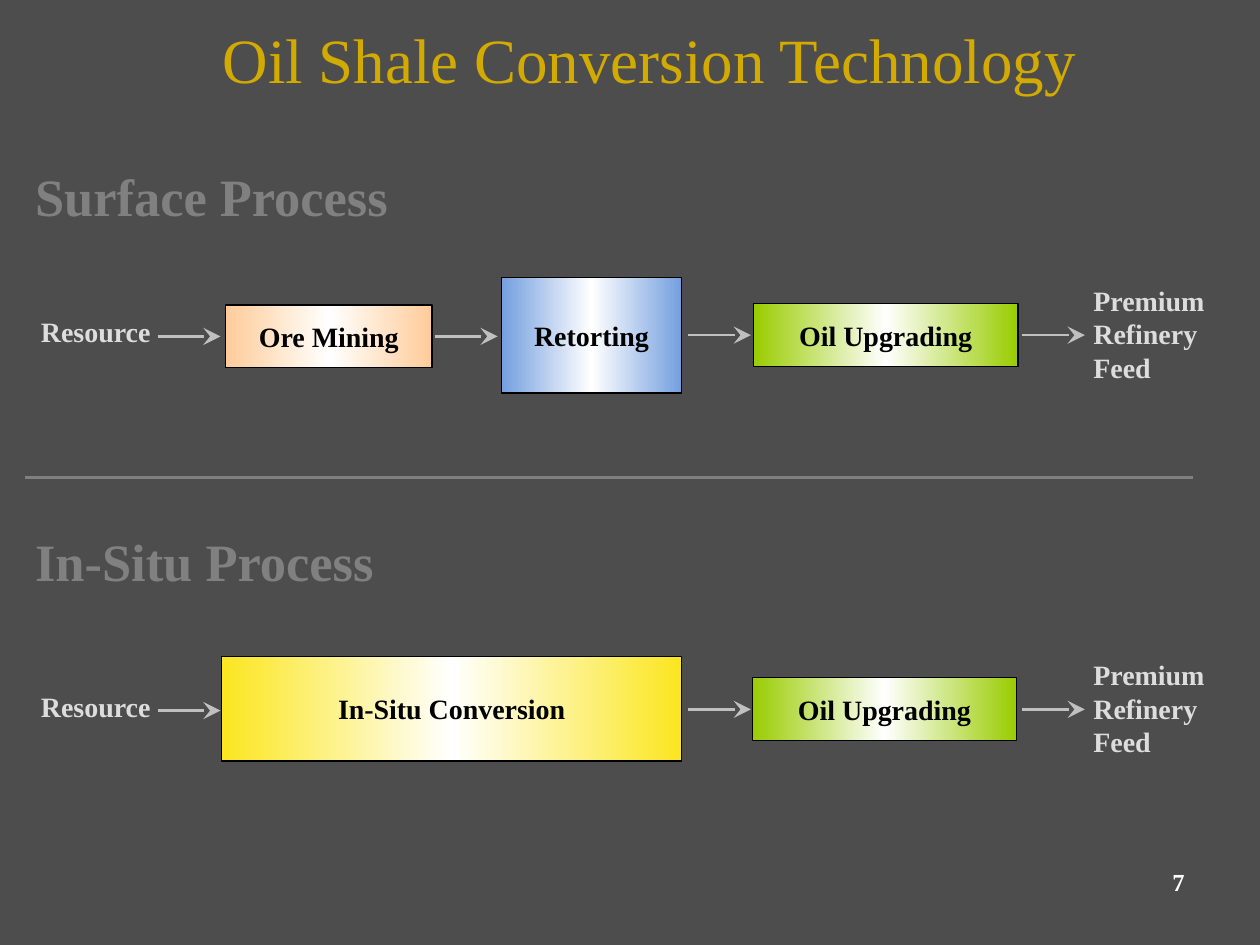
from copy import deepcopy
from pptx import Presentation
from pptx.dml.color import RGBColor as RGB
from pptx.enum.shapes import MSO_CONNECTOR as Conn, MSO_SHAPE as Kind
from pptx.enum.text import MSO_ANCHOR as Anchor, PP_ALIGN as Align
from pptx.oxml.ns import qn
from pptx.oxml.xmlchemy import OxmlElement as Node
from pptx.util import Inches, Pt

GRAY = RGB(0x4D, 0x4D, 0x4D)
GOLD = RGB(0xD2, 0xAA, 0x00)
HEAD = RGB(0x80, 0x80, 0x80)
PALE = RGB(0xDD, 0xDD, 0xDD)
SILVER = RGB(0xC0, 0xC0, 0xC0)
BLACK = RGB(0x00, 0x00, 0x00)
WHITE = RGB(0xFF, 0xFF, 0xFF)
PEACH = RGB(0xFF, 0xCC, 0x99)
BLUE = RGB(0x74, 0x9F, 0xDE)
GREEN = RGB(0x99, 0xCC, 0x00)
YELLOW = RGB(0xFB, 0xE6, 0x1F)

deck = Presentation()
deck.slide_width, deck.slide_height = Inches(10), Inches(7.5)
slide = deck.slides.add_slide(deck.slide_layouts[5])
slide.background.fill.solid()
slide.background.fill.fore_color.rgb = GRAY
shapes = slide.shapes


def write(text, shape=None, at=None, size=16, color=PALE, bold=True,
          align=Align.LEFT, anchor=Anchor.TOP):
    if shape is None:
        shape = shapes.add_textbox(*map(Inches, at))
    frame = shape.text_frame
    frame.word_wrap = True
    frame.vertical_anchor = anchor
    frame.text = text
    para = frame.paragraphs[0]
    para.alignment = align
    font = para.runs[0].font
    font.name, font.size, font.bold = "Times New Roman", Pt(size), bold
    font.color.rgb = color


def draw(left, right, y, color=SILVER, width=1.5, arrow=True):
    line = shapes.add_connector(Conn.STRAIGHT, Inches(left), Inches(y),
                                Inches(right), Inches(y))
    line.line.color.rgb = color
    line.line.width = Pt(width)
    props = line._element.spPr
    props.append(Node("a:effectLst"))
    if arrow:
        tail = Node("a:tailEnd")
        for key, value in (("type", "stealth"), ("w", "lg"), ("len", "lg")):
            tail.set(key, value)
        props.find(qn("a:ln")).append(tail)


title = shapes.title
title.left, title.top = Inches(0.56), Inches(0)
title.width, title.height = Inches(9.19), Inches(0.92)
write("Oil Shale Conversion Technology", title, size=36, color=GOLD,
      bold=False, align=Align.CENTER, anchor=Anchor.MIDDLE)

steps = [
    ("Ore Mining", 1.79, 2.42, 1.64, 0.5, PEACH),
    ("Retorting", 3.98, 2.2, 1.43, 0.92, BLUE),
    ("Oil Upgrading", 5.98, 2.41, 2.1, 0.5, GREEN),
    ("In-Situ Conversion", 1.76, 5.21, 3.65, 0.83, YELLOW),
    ("Oil Upgrading", 5.97, 5.38, 2.1, 0.5, GREEN),
]
for name, left, top, width, height, color in steps:
    box = shapes.add_shape(Kind.RECTANGLE, Inches(left), Inches(top),
                           Inches(width), Inches(height))
    box.shadow.inherit = False
    box.line.color.rgb = BLACK
    box.line.width = Pt(0.75)
    box.fill.gradient()
    box.fill.gradient_angle = 0
    stops = box._element.spPr.find(".//" + qn("a:gsLst"))
    stops.insert(1, deepcopy(stops[0]))
    for stop, place, tint in zip(box.fill.gradient_stops, (0, 0.5, 1),
                                 (color, WHITE, color)):
        stop.position = place
        stop.color.rgb = tint
    write(name, box, color=BLACK, align=Align.CENTER, anchor=Anchor.MIDDLE)

rows = [
    ("Surface Process", 1.25, 2.45, 2.2, (3.45,)),
    ("In-Situ Process", 4.15, 5.42, 5.17, ()),
]
for name, top, start, end, extra in rows:
    write(name, at=(0.18, top, 3.5, 0.6), size=30, color=HEAD)
    write("Resource", at=(-0.03, start, 1.58, 0.37), align=Align.CENTER)
    write("Premium Refinery Feed", at=(8.58, end, 1.5, 0.9))
    for left in (1.25, *extra):
        draw(left, left + 0.5, start + 0.22)
    for left in (5.46, 8.11):
        draw(left, left + 0.5, start + 0.21)

draw(0.2, 9.47, 3.79, color=HEAD, width=2, arrow=False)
write("7", at=(7.17, 6.83, 2.33, 0.52), size=14, color=WHITE,
      align=Align.RIGHT)

deck.save("out.pptx")
